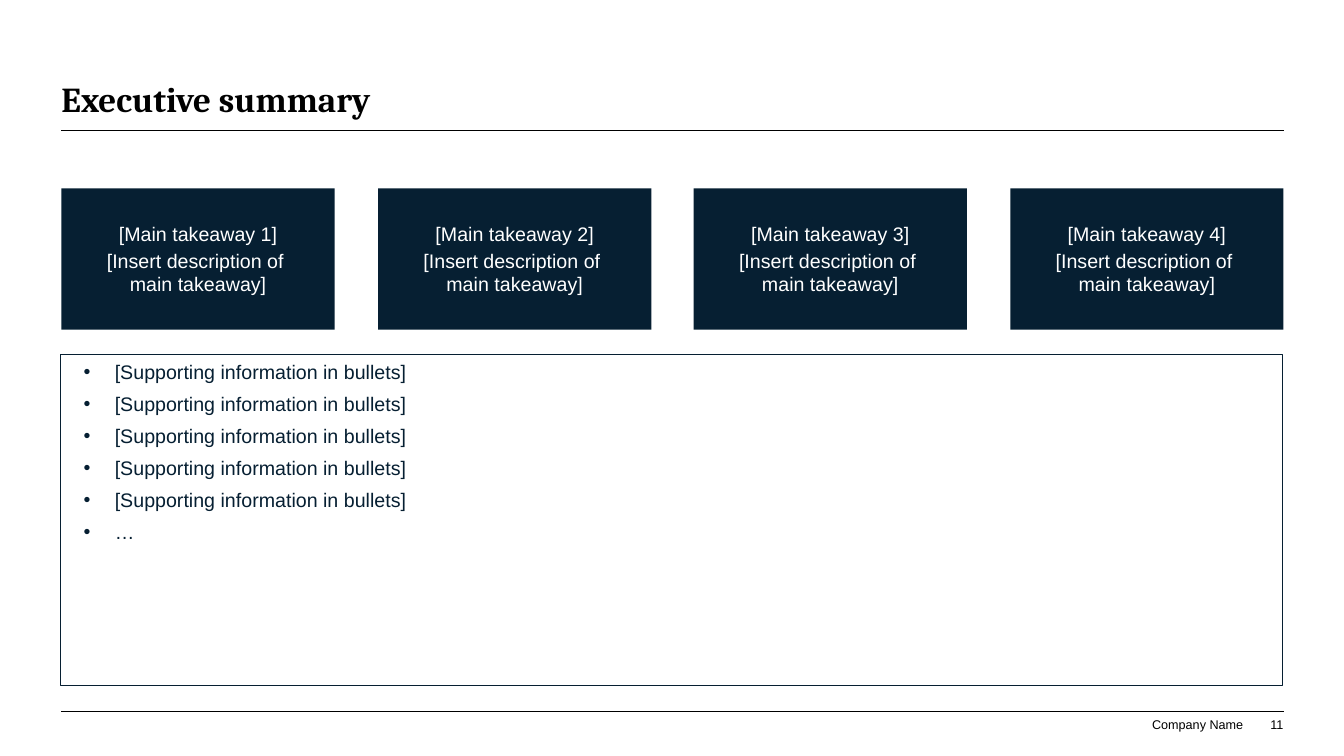
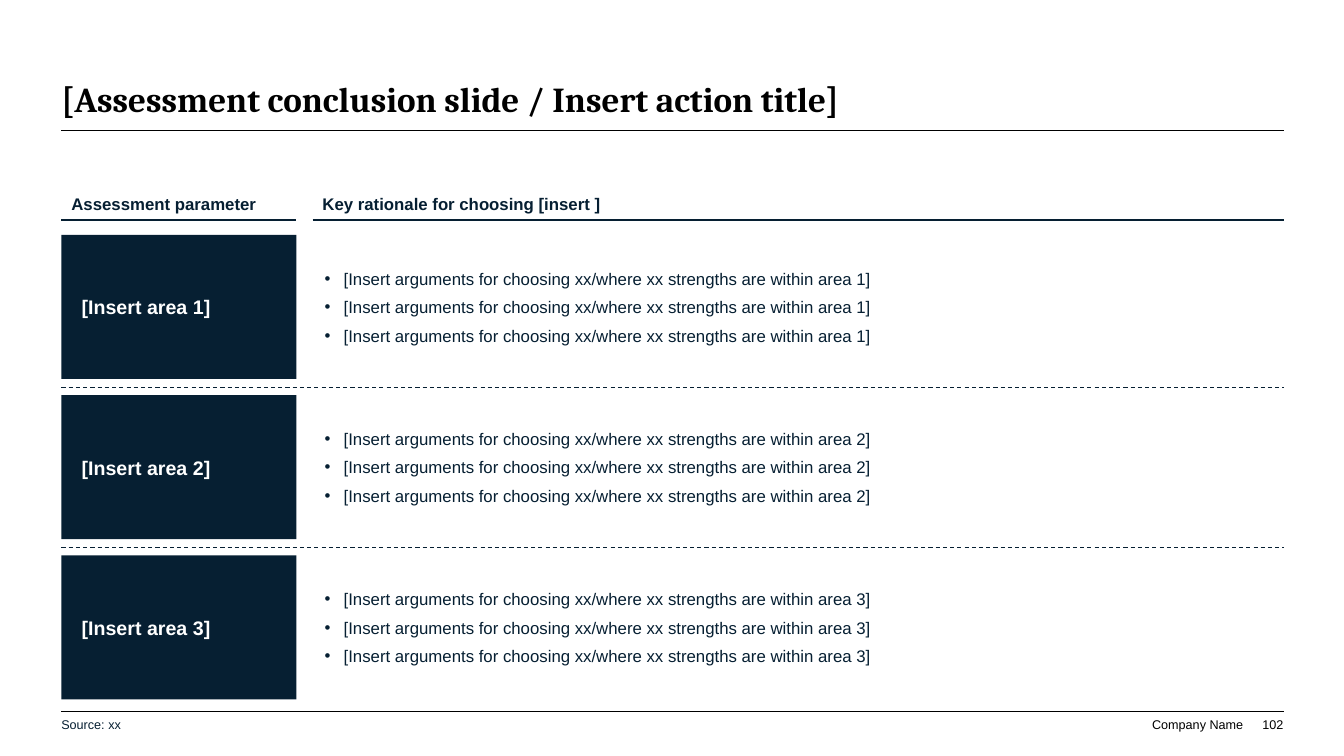
from lxml import etree
from pptx import Presentation
from pptx.dml.color import RGBColor
from pptx.enum.dml import MSO_LINE
from pptx.enum.shapes import MSO_CONNECTOR, MSO_SHAPE
from pptx.enum.text import MSO_ANCHOR, MSO_AUTO_SIZE, PP_ALIGN
from pptx.oxml.ns import qn
from pptx.util import Emu, Pt

# Shared format
EMU_PER_PX = 9144  # 100 px to the inch
NAVY = RGBColor(0x06, 0x1F, 0x32)
BLACK = RGBColor(0, 0, 0)
WHITE = RGBColor(0xFF, 0xFF, 0xFF)
BODY_FONT = "Arial"
TITLE_FONT = "Cambria"
LEFT, RIGHT = 61, 1273
WIDTH = RIGHT - LEFT
NO_INSETS = (0, 0, 0, 0)
TEXT_INSETS = (10, 5, 10, 5)


def px(length):
    return Emu(length * EMU_PER_PX)


def set_all(target, values):
    for name, value in values.items():
        setattr(target, name, value)


def add_bullet(paragraph, indent):
    properties = paragraph._p.get_or_add_pPr()
    properties.set("marL", str(px(indent[0])))
    properties.set("indent", str(px(indent[1])))
    etree.SubElement(properties, qn("a:buFont"), typeface=BODY_FONT)
    etree.SubElement(properties, qn("a:buChar"), char="•")


def write(shape, lines, size, color, bold=False, font=BODY_FONT, align=PP_ALIGN.LEFT,
          anchor=MSO_ANCHOR.MIDDLE, insets=TEXT_INSETS, gap=0, indent=None, wrap=True):
    """Fill a shape with one paragraph per line, gap points apart."""
    frame = shape.text_frame
    sides = ("margin_left", "margin_top", "margin_right", "margin_bottom")
    set_all(frame, dict(zip(sides, map(px, insets))))
    set_all(frame, {"word_wrap": wrap, "auto_size": MSO_AUTO_SIZE.NONE,
                    "vertical_anchor": anchor})
    for number, line in enumerate(lines):
        paragraph = frame.add_paragraph() if number else frame.paragraphs[0]
        set_all(paragraph, {"text": line, "alignment": align,
                            "space_before": Pt(gap if number else 0)})
        if indent:
            add_bullet(paragraph, indent)
        set_all(paragraph.font, {"name": font, "size": Pt(size), "bold": bold})
        paragraph.font.color.rgb = color


def add_text(slide, box, lines, size, color, **text_format):
    shape = slide.shapes.add_textbox(*map(px, box))
    write(shape, lines, size, color, **text_format)


def add_box(slide, box, fill=None, line=None):
    shape = slide.shapes.add_shape(MSO_SHAPE.RECTANGLE, *map(px, box))
    shape.shadow.inherit = False
    if fill is None:
        shape.fill.background()
    else:
        shape.fill.solid()
        shape.fill.fore_color.rgb = fill
    if line is None:
        shape.line.fill.background()
    else:
        shape.line.color.rgb = line
        shape.line.width = Pt(0.75)
    return shape


def add_rule(slide, left, right, y, color, width, dash=None):
    rule = slide.shapes.add_connector(MSO_CONNECTOR.STRAIGHT,
                                      px(left), px(y), px(right), px(y))
    rule.line.color.rgb = color
    set_all(rule.line, {"width": Pt(width), "dash_style": dash})
    etree.SubElement(rule._element.spPr, qn("a:effectLst"))


def add_slide(presentation, title, page):
    """Title-only slide with its title, two rules and footer."""
    slide = presentation.slides.add_slide(presentation.slide_layouts[5])
    placeholder = slide.shapes.title
    set_all(placeholder, {"left": px(LEFT), "top": px(39),
                          "width": px(WIDTH), "height": px(80)})
    write(placeholder, [title], 25, BLACK, bold=True, font=TITLE_FONT,
          anchor=MSO_ANCHOR.BOTTOM, insets=NO_INSETS)
    for y in (129, 706):
        add_rule(slide, LEFT, RIGHT, y, BLACK, 0.5)
    for left, width, text in ((1142, 91, "Company Name"), (1237, 36, page)):
        add_text(slide, (left, 711, width, 15), [text], 9, BLACK, align=PP_ALIGN.RIGHT,
                 anchor=MSO_ANCHOR.BOTTOM, insets=NO_INSETS, wrap=False)
    return slide


def add_summary(presentation):
    slide = add_slide(presentation, "Executive summary", "11")
    # Takeaway boxes, spread evenly over the width
    count, width = 4, 271
    step = (WIDTH - width) / (count - 1)
    for index in range(count):
        box = add_box(slide, (round(LEFT + index * step), 187, width, 140), fill=NAVY)
        write(box, [f"[Main takeaway {index + 1}]", "[Insert description of \vmain takeaway]"],
              14, WHITE, align=PP_ALIGN.CENTER, insets=(8, 8, 8, 8), gap=2)
    # Supporting information
    panel = add_box(slide, (60, 352, WIDTH, 328), line=NAVY)
    write(panel, ["[Supporting information in bullets]"] * 5 + ["…"], 14, NAVY,
          anchor=MSO_ANCHOR.TOP, gap=6, indent=(44, -31))


def add_assessment(presentation):
    slide = add_slide(presentation, "[Assessment conclusion slide / Insert action title]", "102")
    # Column headings
    area_width, rationale_left = 233, 310
    headings = ((LEFT, area_width, "Assessment parameter"),
                (rationale_left, RIGHT - rationale_left, "Key rationale for choosing [insert ]"))
    for left, width, heading in headings:
        add_text(slide, (left, 188, width, 28), [heading], 12, NAVY, bold=True)
        add_rule(slide, left, left + width, 218, NAVY, 1.5)
    # Areas with their arguments, a dashed rule between rows
    row_top, row_height, row_gap = 233, 143, 16
    for index in range(3):
        area = index + 1
        top = row_top + index * (row_height + row_gap)
        box = add_box(slide, (LEFT, top, area_width, row_height), fill=NAVY)
        write(box, [f"[Insert area {area}]"], 14, WHITE, bold=True, insets=(20, 5, 20, 5))
        argument = f"[Insert arguments for choosing xx/where xx strengths are within area {area}]"
        add_text(slide, (312, top, 961, row_height), [argument] * 3, 12, NAVY,
                 gap=6, indent=(19, -19))
        if index:
            add_rule(slide, LEFT, RIGHT, top - row_gap // 2, NAVY, 0.75, MSO_LINE.DASH)
    # Source line
    add_text(slide, (51, 699, 798, 40), ["Source: xx"], 9, NAVY)


def main():
    presentation = Presentation()
    set_all(presentation, {"slide_width": px(1333), "slide_height": px(750)})
    add_summary(presentation)
    add_assessment(presentation)
    presentation.save("out.pptx")


if __name__ == "__main__":
    main()
